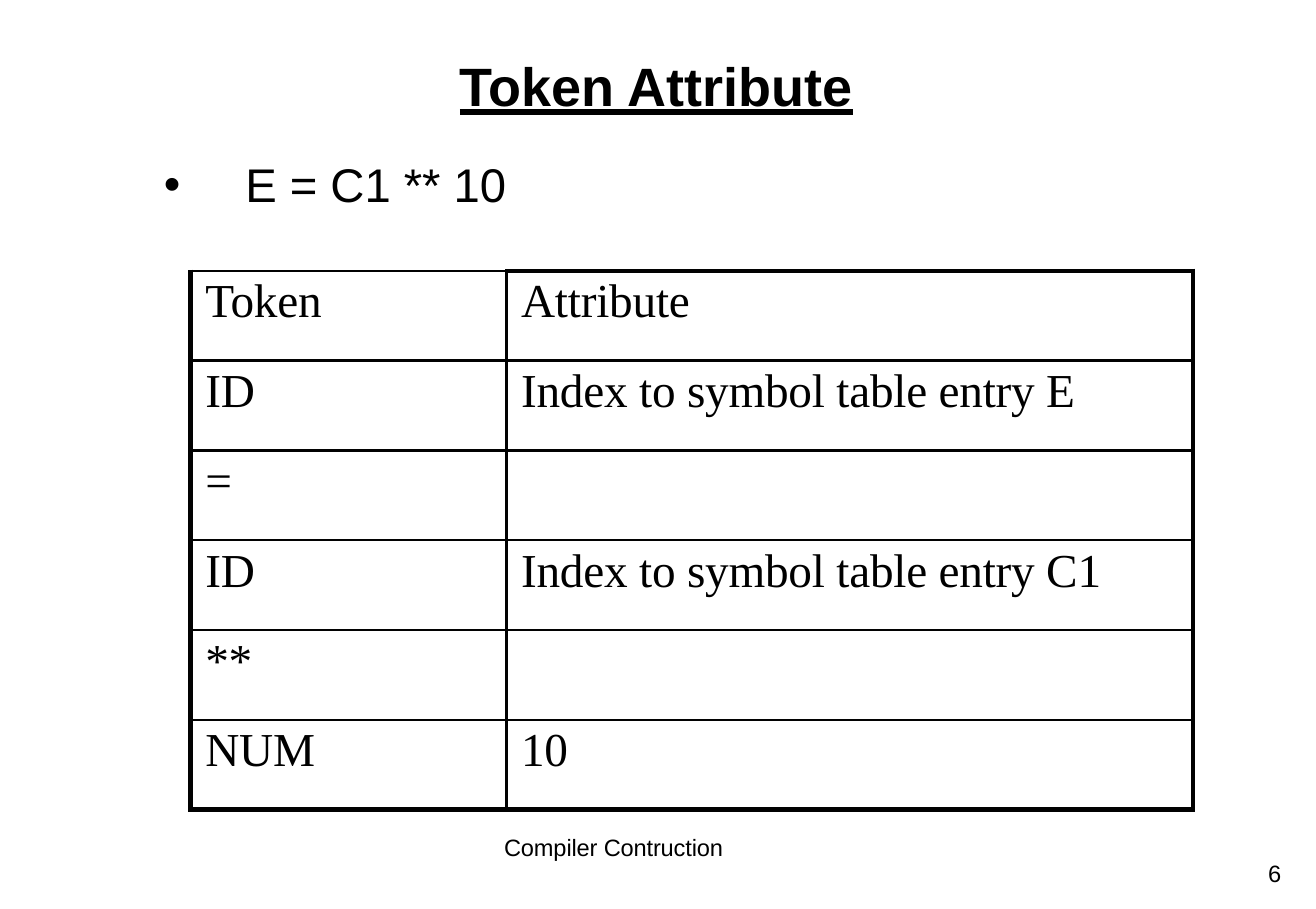
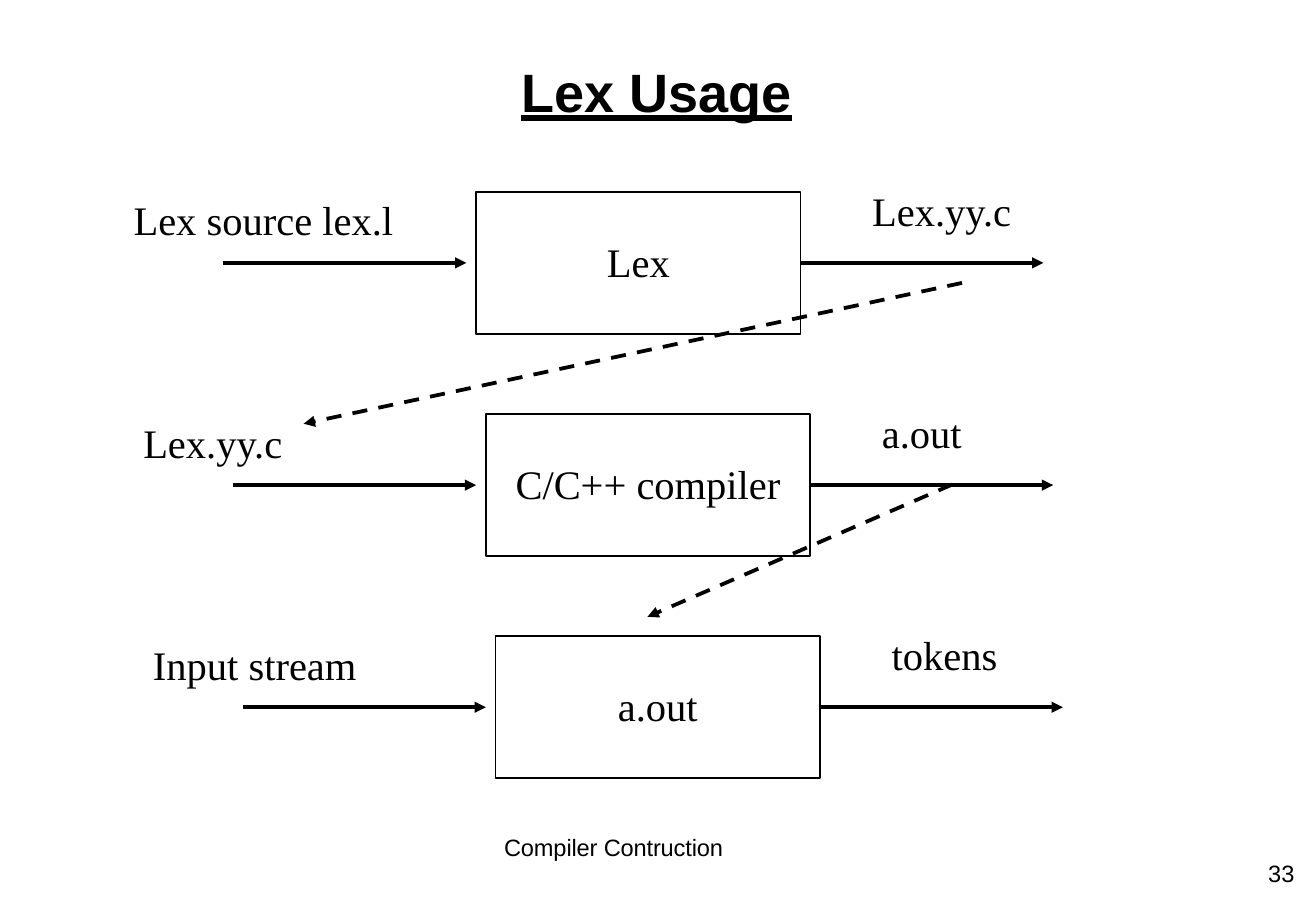
from pptx import Presentation
from pptx.dml.color import RGBColor
from pptx.enum.dml import MSO_LINE
from pptx.enum.shapes import MSO_CONNECTOR, MSO_SHAPE
from pptx.enum.text import MSO_ANCHOR, MSO_UNDERLINE, PP_ALIGN
from pptx.oxml.ns import qn
from pptx.util import Inches, Pt
from lxml.etree import SubElement

# Content
FOOTER = "Compiler Contruction"
EXPRESSION = "E = C1 ** 10"
TOKENS = [
    ("Token", "Attribute"),
    ("ID", "Index to symbol table entry E"),
    ("=", ""),
    ("ID", "Index to symbol table entry C1"),
    ("**", ""),
    ("NUM", "10"),
]
STAGES = [  # input, tool, output
    ("Lex source lex.l", "Lex", "Lex.yy.c"),
    ("Lex.yy.c", "C/C++ compiler", "a.out"),
    ("Input stream", "a.out", "tokens"),
]
HANDOVERS = [  # dashed arrows from one stage to the next
    ((7.92, 2.33), (2.5, 3.49)),
    ((7.84, 3.99), (5.33, 5.08)),
]

# Shared style
COLORS = {"text": "000000", "line": "010101"}
SANS, SERIF = "Arial", "Times New Roman"
WIDTH, HEIGHT = 780 / 72, 539 / 72
COLUMN_WIDTHS = (2.6, 5.65)
ROW_HEIGHT = 0.74
BOX_WIDTH, BOX_HEIGHT = 2.67, 1.17
ARROW_LENGTH = 2
ARROW_GAP = 0.08
STAGE_STEP = (0.08, 1.83)


def color(name):
    return RGBColor.from_string(COLORS[name])


def set_font(paragraph, name, size):
    paragraph.font.name = name
    paragraph.font.size = Pt(size)
    paragraph.font.color.rgb = color("text")


def tighten(paragraph):
    for run in paragraph.runs:
        run._r.get_or_add_rPr().set("spc", "-10")


def add_text(slide, text, left, top, width, height, name, size):
    box = slide.shapes.add_textbox(
        Inches(left), Inches(top), Inches(width), Inches(height))
    frame = box.text_frame
    frame.word_wrap = True
    frame.margin_left = frame.margin_right = frame.margin_bottom = 0
    frame.margin_top = Inches(0.01)
    paragraph = frame.paragraphs[0]
    paragraph.text = text
    set_font(paragraph, name, size)
    return paragraph


def add_slide(presentation, title, title_top, number):
    slide = presentation.slides.add_slide(presentation.slide_layouts[6])
    paragraph = add_text(slide, title, 0, title_top, 10.81, 0.56, SANS, 32)
    paragraph.alignment = PP_ALIGN.CENTER
    paragraph.font.bold = True
    paragraph.font.underline = MSO_UNDERLINE.HEAVY_LINE
    tighten(add_text(slide, FOOTER, 4.15, 6.85, 2.2, 0.25, SANS, 14))
    add_text(slide, number, 10.44, 7.06, 0.35, 0.25, SANS, 14)
    return slide


def add_bullet(paragraph, hanging):
    properties = paragraph._p.get_or_add_pPr()
    properties.set("marL", str(Inches(hanging)))
    properties.set("indent", str(-Inches(hanging)))
    SubElement(properties, qn("a:buFont"), typeface=SANS)
    SubElement(properties, qn("a:buChar"), char="•")


def set_borders(cell, widths):
    properties = cell._tc.get_or_add_tcPr()
    for side, width in widths.items():
        line = SubElement(properties, qn(f"a:ln{side}"), w=str(Pt(width)))
        fill = SubElement(line, qn("a:solidFill"))
        SubElement(fill, qn("a:srgbClr"), val=COLORS["line"])


def add_token_table(slide):
    row_count, column_count = len(TOKENS), len(COLUMN_WIDTHS)
    table = slide.shapes.add_table(
        row_count, column_count, Inches(1.57), Inches(2.23),
        Inches(sum(COLUMN_WIDTHS)), Inches(ROW_HEIGHT * row_count)).table
    table.first_row = table.horz_banding = False
    for column, width in zip(table.columns, COLUMN_WIDTHS):
        column.width = Inches(width)
    for r, texts in enumerate(TOKENS):
        table.rows[r].height = Inches(ROW_HEIGHT)
        for c, text in enumerate(texts):
            cell = table.cell(r, c)
            cell.margin_left, cell.margin_top = Inches(0.12), Inches(0.04)
            cell.margin_right = cell.margin_bottom = 0
            cell.vertical_anchor = MSO_ANCHOR.TOP
            if text:
                paragraph = cell.text_frame.paragraphs[0]
                paragraph.text = text
                set_font(paragraph, SERIF, 28)
                tighten(paragraph)
            set_borders(cell, {
                "L": 3 if c == 0 else 1.5,
                "R": 2.25 if c == column_count - 1 else 1.5,
                "T": 3 if r == 0 and c == 1 else 1.5,
                "B": 3 if r == row_count - 1 else 1.5,
            })
            cell.fill.background()


def add_arrow(slide, start, end, dashed=False):
    arrow = slide.shapes.add_connector(
        MSO_CONNECTOR.STRAIGHT, *(Inches(value) for value in start + end))
    arrow.line.color.rgb = color("line")
    arrow.line.width = Pt(2.25)
    if dashed:
        arrow.line.dash_style = MSO_LINE.DASH
    SubElement(arrow.line._get_or_add_ln(), qn("a:tailEnd"), type="triangle")
    SubElement(arrow._element.spPr, qn("a:effectLst"))
    return arrow


def add_stage(slide, index, source, tool, result):
    left = 3.92 + index * STAGE_STEP[0]
    top = 1.58 + index * STAGE_STEP[1]
    right, middle = left + BOX_WIDTH, top + BOX_HEIGHT / 2

    # Tool box
    box = slide.shapes.add_shape(
        MSO_SHAPE.RECTANGLE, Inches(left), Inches(top),
        Inches(BOX_WIDTH), Inches(BOX_HEIGHT))
    box.shadow.inherit = False
    box.fill.background()
    box.line.color.rgb = color("line")
    box.line.width = Pt(1)
    box.text_frame.vertical_anchor = MSO_ANCHOR.MIDDLE
    box.text_frame.margin_bottom = Inches(0.08)
    paragraph = box.text_frame.paragraphs[0]
    paragraph.text = tool
    paragraph.alignment = PP_ALIGN.CENTER
    set_font(paragraph, SERIF, 24)

    # Input and output
    arrow_end = left - ARROW_GAP
    add_arrow(slide, (arrow_end - ARROW_LENGTH, middle), (arrow_end, middle))
    output = add_arrow(slide, (right, middle), (right + ARROW_LENGTH, middle))
    output.begin_connect(box, 3)
    add_text(slide, source, left - 2.82, top + 0.02, 2.5, 0.43, SERIF, 24)
    add_text(slide, result, left + 3.26, top - 0.06, 1.5, 0.43, SERIF, 24)


def main():
    presentation = Presentation()
    presentation.slide_width = Inches(WIDTH)
    presentation.slide_height = Inches(HEIGHT)

    # Token attributes
    slide = add_slide(presentation, "Token Attribute", 0.42, "6")
    add_bullet(add_text(slide, EXPRESSION, 1.35, 1.27, 4, 0.5, SANS, 28), 0.67)
    add_token_table(slide)

    # Lex usage
    slide = add_slide(presentation, "Lex Usage", 0.47, "33")
    for index, stage in enumerate(STAGES):
        add_stage(slide, index, *stage)
    for start, end in HANDOVERS:
        add_arrow(slide, start, end, dashed=True)

    presentation.save("out.pptx")


if __name__ == "__main__":
    main()
